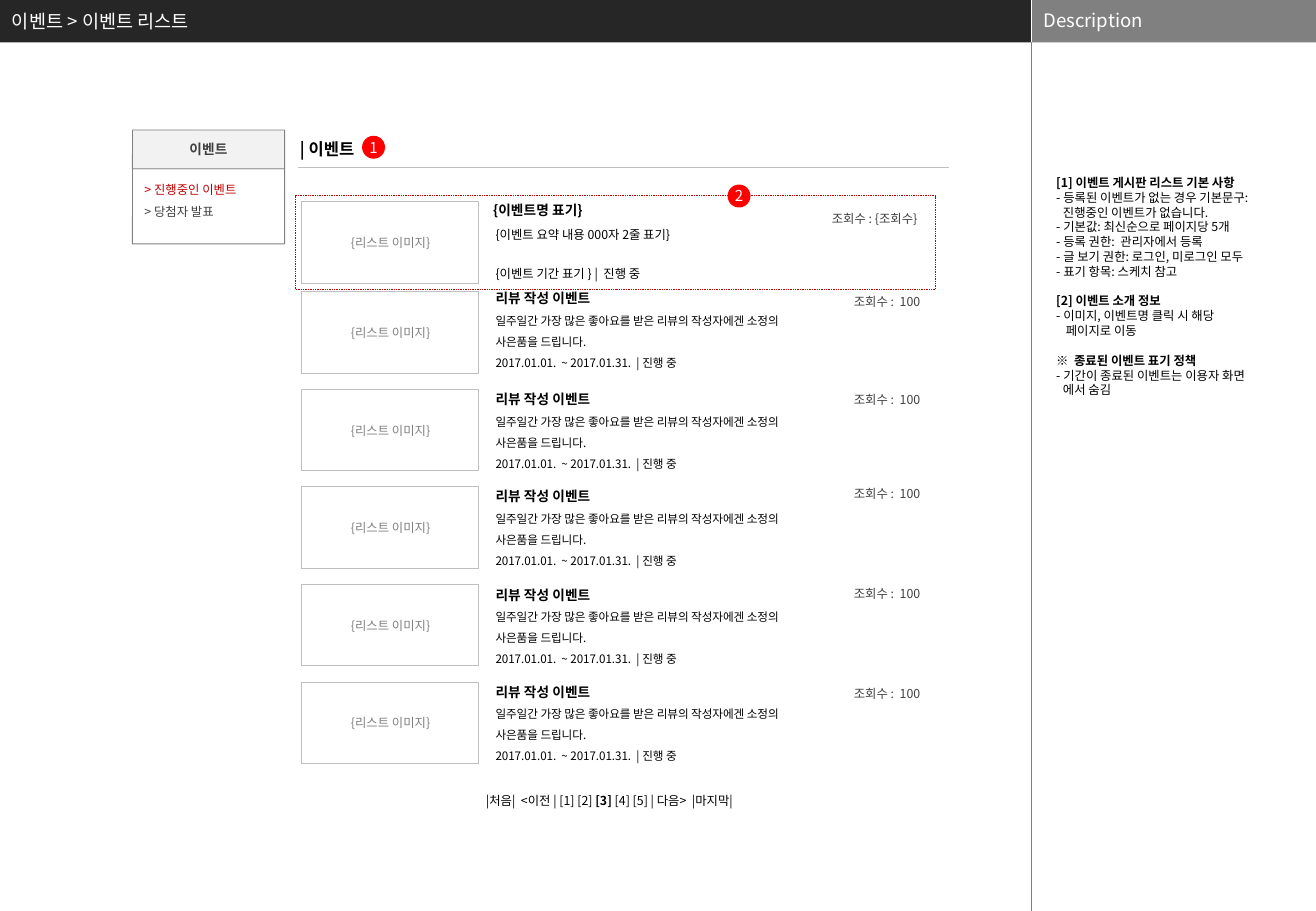
from lxml import etree
from pptx import Presentation
from pptx.dml.color import RGBColor
from pptx.enum.dml import MSO_LINE
from pptx.enum.shapes import MSO_CONNECTOR, MSO_SHAPE
from pptx.enum.text import MSO_ANCHOR, PP_ALIGN
from pptx.oxml.ns import qn
from pptx.util import Cm, Pt

RECTANGLE, OVAL, ROUNDED = MSO_SHAPE.RECTANGLE, MSO_SHAPE.OVAL, MSO_SHAPE.ROUNDED_RECTANGLE
STRAIGHT = MSO_CONNECTOR.STRAIGHT
DOTTED = MSO_LINE.ROUND_DOT
TOP, MIDDLE = MSO_ANCHOR.TOP, MSO_ANCHOR.MIDDLE
LEFT, CENTER = PP_ALIGN.LEFT, PP_ALIGN.CENTER

BLACK, WHITE, INK, GRAY = "000000", "FFFFFF", "404040", "808080"
RED, DARK_RED, SILVER = "FF0000", "C00000", "BFBFBF"
DEFAULT_INSETS = (0.25, 0.13)


def color(hex_value):
    return RGBColor.from_string(hex_value)


def run(text, size=7.3, ink=BLACK, bold=False):
    return text, size, ink, bold


def line(*runs, align=LEFT, spacing=1.0, before=0, indent=0):
    return {"runs": runs, "align": align, "spacing": spacing, "before": before, "indent": indent}


class Wireframe:
    font = "Noto Sans CJK KR"

    def __init__(self, slide):
        self.slide = slide
        self.shapes = slide.shapes

    def add_lines(self, shape, lines, anchor=TOP, insets=DEFAULT_INSETS):
        frame = shape.text_frame
        frame.word_wrap = True
        frame.vertical_anchor = anchor
        frame.margin_left = frame.margin_right = Cm(insets[0])
        frame.margin_top = frame.margin_bottom = Cm(insets[1])
        for index, content in enumerate(lines):
            paragraph = frame.add_paragraph() if index else frame.paragraphs[0]
            paragraph.alignment = content["align"]
            paragraph.line_spacing = content["spacing"]
            paragraph.space_before = Pt(content["before"])
            properties = paragraph._p.get_or_add_pPr()
            properties.set("marL", str(Cm(content["indent"])))
            properties.set("indent", "0")
            etree.SubElement(properties, qn("a:buNone"))
            for text, size, ink, bold in content["runs"]:
                text_run = paragraph.add_run()
                text_run.text = text
                font = text_run.font
                font.name, font.size, font.bold = self.font, Pt(size), bold
                font.color.rgb = color(ink)
                etree.SubElement(font._element, qn("a:ea"), typeface=self.font)

    def placeholder(self, shape, box, lines, **layout):
        """Move a template placeholder to the front and fill it."""
        shape.left, shape.top, shape.width, shape.height = map(Cm, box)
        self.shapes._spTree.append(shape._element)
        self.add_lines(shape, lines, **layout)

    def text(self, box, *lines, **layout):
        self.add_lines(self.shapes.add_textbox(*map(Cm, box)), lines, **layout)

    def shape(self, kind, box, *lines, fill=None, outline=None, dash=None, **layout):
        shape = self.shapes.add_shape(kind, *map(Cm, box))
        shape.shadow.inherit = False
        if kind == ROUNDED:
            shape.adjustments[0] = 0.001
        if fill:
            shape.fill.solid()
            shape.fill.fore_color.rgb = color(fill)
        else:
            shape.fill.background()
        if outline:
            shape.line.color.rgb = color(outline)
            shape.line.width = Pt(0.5)
            shape.line.dash_style = dash
        else:
            shape.line.fill.background()
        if lines:
            self.add_lines(shape, lines, **layout)

    def rule(self, start, end, ink, width):
        connector = self.shapes.add_connector(STRAIGHT, *map(Cm, start + end))
        connector.line.color.rgb = color(ink)
        connector.line.width = Pt(width)
        etree.SubElement(connector._element.spPr, qn("a:effectLst"))

    def image_frame(self, top):
        """One-cell table with a caption in its middle."""
        table = self.shapes.add_table(1, 1, Cm(6.3), Cm(top), Cm(3.71), Cm(1.7)).table
        table.first_row = table.horz_banding = False
        cell = table.cell(0, 0)
        properties = cell._tc.get_or_add_tcPr()
        for side in ("a:lnL", "a:lnR", "a:lnT", "a:lnB"):
            border = etree.SubElement(properties, qn(side), w=str(Pt(0.5)))
            fill = etree.SubElement(border, qn("a:solidFill"))
            etree.SubElement(fill, qn("a:srgbClr"), val=SILVER)
        cell.fill.background()
        self.shape(RECTANGLE, (7.01, top + 0.58, 2.31, 0.56),
                   line(run("{리스트 이미지}", ink=GRAY), align=CENTER),
                   fill=WHITE, anchor=MIDDLE, insets=(0, 0))

    def event(self, top, views_top):
        self.text((10.11, top, 6.78, 1.88),
                  line(run("리뷰 작성 이벤트", 8.1, bold=True)),
                  line(run("일주일간 가장 많은 좋아요를 받은 리뷰의 작성자에겐 소정의 사은품을 드립니다.", 6.9), spacing=1.5),
                  line(run("2017.01.01.  ~ 2017.01.31.  | 진행 중", 6.9), spacing=1.5))
        self.text((17.6, views_top, 2.06, 0.56), line(run("조회수 :  100", ink=INK)))

    def marker(self, left, top, number):
        self.shape(OVAL, (left, top, 0.48, 0.48), line(run(number, 8.9, WHITE), align=CENTER),
                   fill=RED, anchor=MIDDLE, insets=(0, 0))


def main():
    presentation = Presentation()
    presentation.slide_width, presentation.slide_height = Cm(27.51), Cm(19.05)
    slide = presentation.slides.add_slide(presentation.slide_layouts[1])
    title, body = slide.placeholders
    page = Wireframe(slide)

    # Header and description column
    page.shape(RECTANGLE, (0, 0, 21.56, 0.89), fill="262626")
    page.shape(RECTANGLE, (21.56, 0, 5.95, 0.89), fill=GRAY)
    page.rule((21.56, 0), (21.56, 0.89), WHITE, 0.25)
    page.rule((21.56, 0.87), (21.56, 19.05), "7F7F7F", 0.25)
    page.placeholder(title, (0, 0, 20.96, 0.89),
                     [line(run("이벤트 > 이벤트 리스트", 11, WHITE))], anchor=MIDDLE)
    page.text((21.56, 0, 5.94, 0.86), line(run("Description", 11, WHITE)), anchor=MIDDLE)
    page.placeholder(body, (22, 3.66, 4.83, 14.4), [
        line(run("[1] 이벤트 게시판 리스트 기본 사항", bold=True)),
        line(run("- 등록된 이벤트가 없는 경우 기본문구:")),
        line(run("진행중인 이벤트가 없습니다."), indent=0.14),
        line(run("- 기본값: 최신순으로 페이지당 5개")),
        line(run("- 등록 권한:  관리자에서 등록")),
        line(run("- 글 보기 권한: 로그인, 미로그인 모두")),
        line(run("- 표기 항목: 스케치 참고")),
        line(run("[2] 이벤트 소개 정보", bold=True), before=8.8),
        line(run("- 이미지, 이벤트명 클릭 시 해당")),
        line(run("페이지로 이동"), indent=0.2),
        line(run("※  "), run("종료된 이벤트 표기 정책", bold=True), before=8.8),
        line(run("- 기간이 종료된 이벤트는 이용자 화면")),
        line(run("에서 숨김"), indent=0.14),
    ], insets=(0.08, 0))

    # Side menu
    page.shape(ROUNDED, (2.77, 3.53, 3.18, 1.57),
               line(run("> 진행중인 이벤트", ink=DARK_RED), spacing=1.5),
               line(run("> 당첨자 발표", ink=INK), spacing=1.5), outline=GRAY)
    page.shape(ROUNDED, (2.77, 2.72, 3.18, 0.81),
               line(run("이벤트", 8.1, INK, True), align=CENTER),
               fill="F2F2F2", outline=GRAY, anchor=MIDDLE)

    # List heading
    page.text((6.02, 2.77, 2.72, 0.69), line(run("| 이벤트", 9.8, bold=True)))
    page.rule((6.22, 3.51), (19.84, 3.51), SILVER, 0.75)
    page.marker(7.57, 2.84, "1")

    # Field definitions in the first row
    page.image_frame(4.22)
    page.text((10.06, 4.09, 2.8, 0.61), line(run("{이벤트명 표기}", 8.1, bold=True)))
    page.text((10.11, 4.47, 4.55, 0.66), line(run("{이벤트 요약 내용 000자 2줄 표기}"), spacing=1.5))
    page.text((10.11, 5.44, 4.06, 0.56), line(run("{이벤트 기간 표기 } |  진행 중")))
    page.text((17.14, 4.29, 2.46, 0.56), line(run("조회수 : {조회수}", ink=INK)))

    # Sample events
    tops = [(5.94, 6.02), (8.05, 8.08), (10.08, 10.03), (12.14, 12.12), (14.17, 14.22)]
    for index, (event_top, views_top) in enumerate(tops):
        page.image_frame(6.1 + 2.04 * index)
        page.event(event_top, views_top)

    page.shape(RECTANGLE, (6.17, 4.09, 13.39, 1.96), outline=DARK_RED, dash=DOTTED)
    page.marker(15.21, 3.86, "2")
    page.text((9.91, 16.46, 6.8, 0.56), line(
        run("|처음|  <이전 | [1] [2] "), run("[3]", bold=True), run(" [4] [5] | 다음>  |마지막|")))

    presentation.save("out.pptx")


if __name__ == "__main__":
    main()
